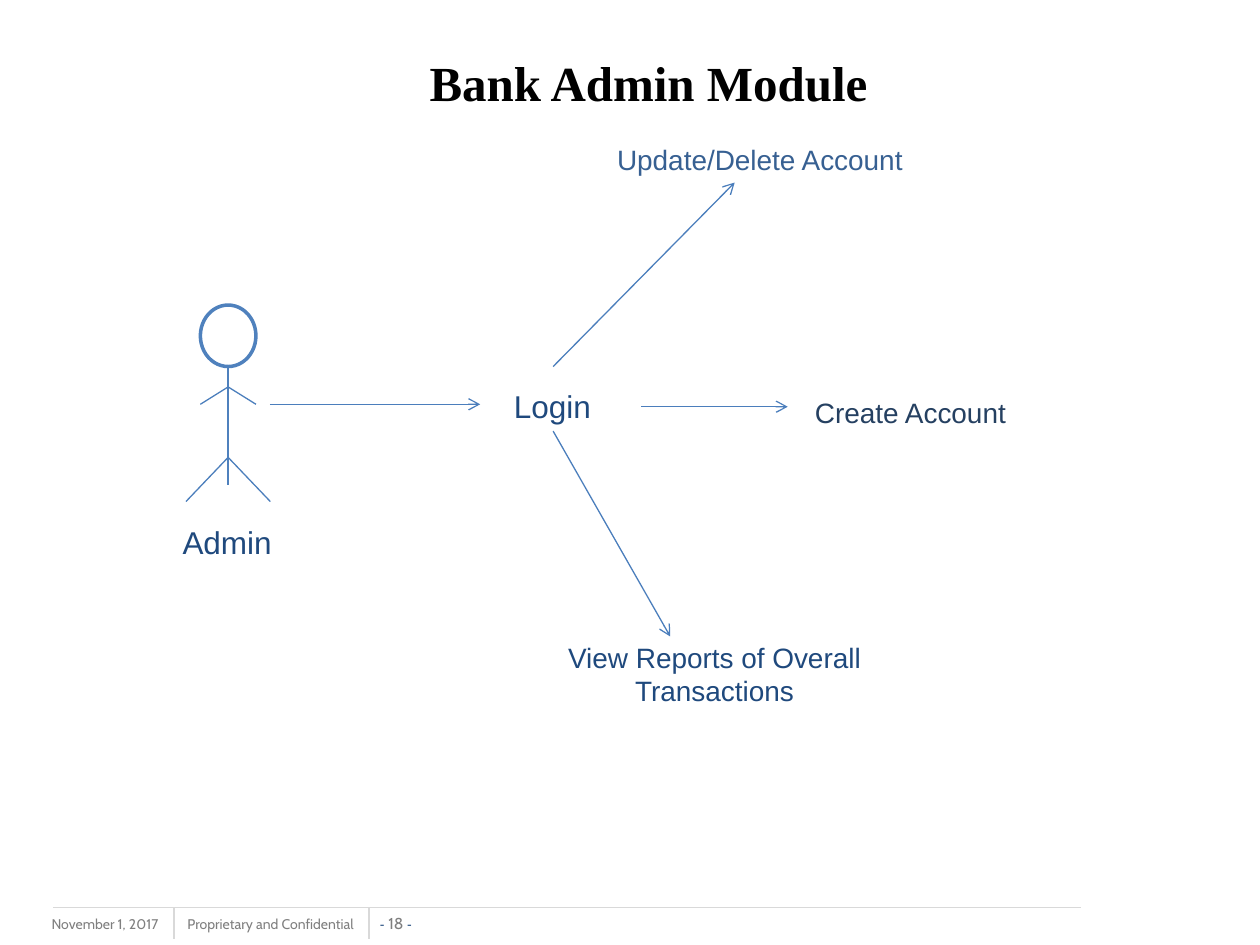
from dataclasses import dataclass

from lxml.etree import SubElement
from pptx import Presentation
from pptx.dml.color import RGBColor as Color
from pptx.enum.shapes import MSO_CONNECTOR as Connector, MSO_SHAPE as Shape
from pptx.enum.text import MSO_ANCHOR as Anchor, PP_ALIGN as Align
from pptx.oxml.ns import qn
from pptx.util import Cm, Pt


@dataclass(frozen=True)
class Theme:
    navy: str = "1F497D"
    dark_navy: str = "254061"
    steel: str = "376092"
    outline: str = "4F81BD"
    stroke: str = "4B7EBC"
    gray: str = "7F7F7F"
    rule: str = "D9D9D9"
    white: str = "FFFFFF"
    black: str = "000000"
    body_font: str = "Arial"
    title_font: str = "Times New Roman"
    footer_font: str = "Cabin"
    title_size: int = 28
    actor_size: int = 18
    action_size: int = 16
    footer_size: int = 8
    number_size: int = 9
    thin: float = 0.75
    thick: float = 2


def write(para, text, *, size, color, font, bold=False):
    span = para.add_run()
    span.text = text
    span.font.size = Pt(size)
    span.font.name = font
    span.font.bold = bold
    span.font.color.rgb = Color.from_string(color)


class Diagram:
    def __init__(self, slide, theme):
        self.slide = slide
        self.theme = theme

    def line(self, start, end, color=None, arrow=False):
        points = [Cm(value) for value in (*start, *end)]
        line = self.slide.shapes.add_connector(Connector.STRAIGHT, *points)
        line.line.color.rgb = Color.from_string(color or self.theme.stroke)
        line.line.width = Pt(self.theme.thin)
        properties = line._element.spPr
        if arrow:
            SubElement(properties.find(qn("a:ln")), qn("a:tailEnd"), type="arrow")
        SubElement(properties, qn("a:effectLst"))

    def shape(self, kind, area, color, width, fill=None):
        shape = self.slide.shapes.add_shape(kind, *map(Cm, area))
        shape.shadow.inherit = False
        if fill:
            shape.fill.solid()
            shape.fill.fore_color.rgb = Color.from_string(fill)
        else:
            shape.fill.background()
        shape.line.color.rgb = Color.from_string(color)
        shape.line.width = Pt(width)
        return shape

    def text(self, area, spans, box=None, align=Align.LEFT, anchor=Anchor.TOP,
             wrap=False, inset=True):
        box = box or self.slide.shapes.add_textbox(*map(Cm, area))
        frame = box.text_frame
        frame.word_wrap = wrap
        frame.vertical_anchor = anchor
        if not inset:
            frame.margin_left = frame.margin_right = Cm(0)
            frame.margin_top = frame.margin_bottom = Cm(0)
        para = frame.paragraphs[0]
        para.alignment = align
        for text, style in spans:
            write(para, text, **style)

    def panel(self, area, spans, width, fill=None, **layout):
        box = self.shape(Shape.RECTANGLE, area, self.theme.white, width, fill)
        self.text(area, spans, box=box, **layout)

    def actor(self, center, top):
        theme = self.theme
        head_width, head_height = 1.12, 1.24
        neck = top + head_height
        self.shape(Shape.OVAL, (center - head_width / 2, top, head_width, head_height),
                   theme.outline, theme.thick)
        self.line((center, neck), (center, neck + 2.39), theme.outline)
        for joint, reach, drop in ((0.41, 0.56, 0.35), (1.83, 0.85, 0.89)):
            for side in (-1, 1):
                self.line((center, neck + joint),
                          (center + side * reach, neck + joint + drop))

    def footer(self):
        theme = self.theme
        top, bottom = 18.29, 18.92
        note = dict(size=theme.footer_size, color=theme.gray, font=theme.footer_font)
        dash = dict(size=theme.footer_size, color=theme.navy, font=theme.body_font)
        number = note | dict(size=theme.number_size)
        self.text((0.79, 18.34, 3.38, 0.64), [("November 1, 2017", note)], wrap=True)
        self.text((3.53, 18.34, 3.99, 0.61), [("Proprietary and Confidential", note)])
        self.text((7.65, 18.42, 0.66, 0.38), [("- ", dash), ("18 ", number), ("-", dash)],
                  align=Align.CENTER, anchor=Anchor.BOTTOM, inset=False)
        self.line((21.79, top), (1.07, top), theme.rule)
        for left in (3.51, 7.44):
            self.line((left, top), (left, bottom), theme.rule)


def main():
    deck = Presentation()
    deck.slide_width, deck.slide_height = Cm(25.4), Cm(19.05)
    theme = Theme()
    diagram = Diagram(deck.slides.add_slide(deck.slide_layouts[6]), theme)

    title = dict(size=theme.title_size, color=theme.black, font=theme.title_font, bold=True)
    actor = dict(size=theme.actor_size, color=theme.navy, font=theme.body_font)
    action = actor | dict(size=theme.action_size)

    diagram.footer()
    diagram.text((8.41, 0.84, 12.14, 1.63), [("Bank Admin Module", title)],
                 anchor=Anchor.MIDDLE, wrap=True)
    diagram.actor(center=4.6, top=6.15)
    diagram.panel((3.43, 10.41, 2.34, 1.02), [("Admin", actor)], theme.thin)
    diagram.text((10.11, 7.67, 2.08, 1.02), [("Login", actor)])
    diagram.panel((10.72, 12.78, 7.37, 1.63),
                  [("View Reports of Overall Transactions", action)],
                  theme.thin, align=Align.CENTER, wrap=True)
    diagram.panel((16.13, 7.42, 4.45, 1.78),
                  [("Create Account", action | dict(color=theme.dark_navy))],
                  theme.thick, theme.white, align=Align.CENTER, anchor=Anchor.MIDDLE)
    diagram.text((12.19, 2.74, 6.63, 0.94),
                 [("Update/Delete Account", action | dict(color=theme.steel))], wrap=True)

    for start, end in (
        ((5.44, 8.15), (9.68, 8.15)),
        ((12.93, 8.2), (15.88, 8.2)),
        ((11.15, 8.69), (13.51, 12.83)),
        ((11.15, 7.39), (14.81, 3.68)),
    ):
        diagram.line(start, end, arrow=True)

    deck.save("out.pptx")


if __name__ == "__main__":
    main()
